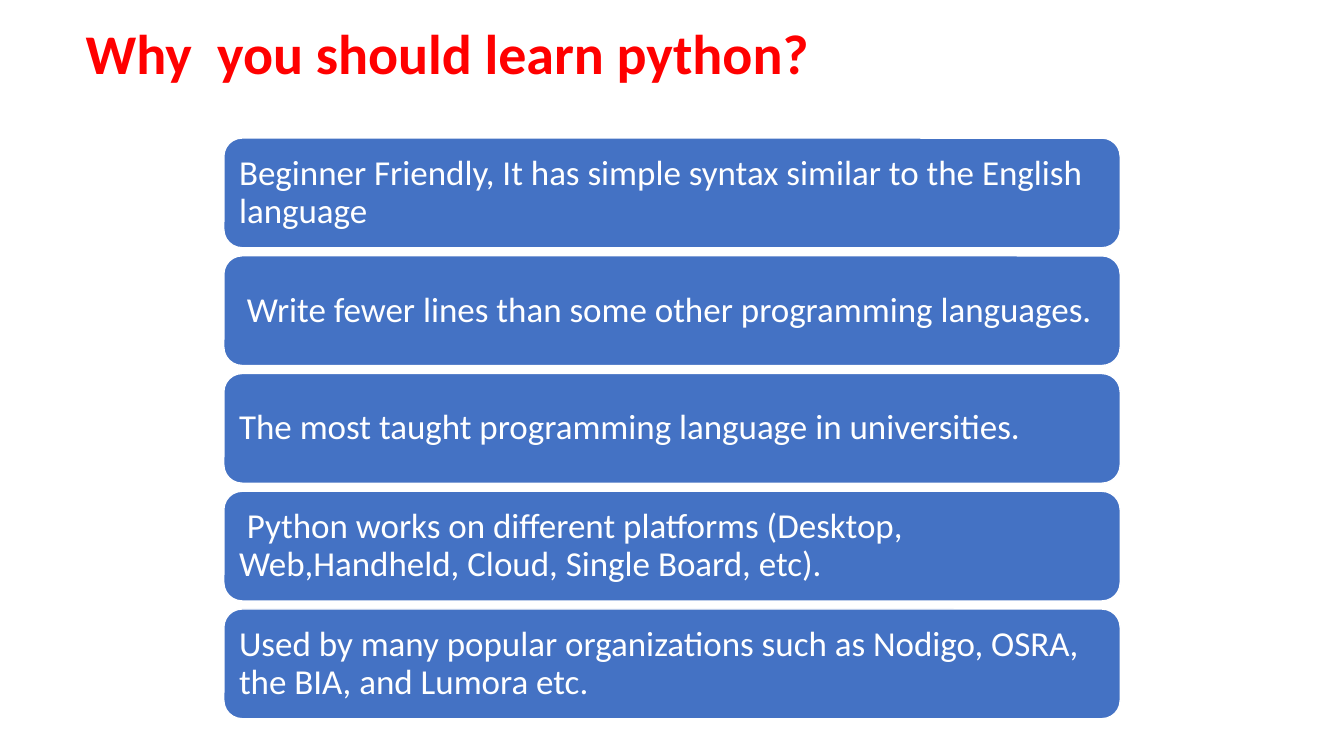
from pptx import Presentation
from pptx.dml.color import RGBColor
from pptx.enum.shapes import MSO_SHAPE
from pptx.enum.text import MSO_ANCHOR, PP_ALIGN
from pptx.util import Inches, Pt

RED = RGBColor(0xFF, 0x00, 0x00)
BLUE = RGBColor(0x44, 0x72, 0xC4)
WHITE = RGBColor(0xFF, 0xFF, 0xFF)
FONT = "Calibri"

REASONS = [
    "Beginner Friendly, It has simple syntax similar to the English language",
    " Write fewer lines than some other programming languages.",
    "The most taught programming language in universities.",
    " Python works on different platforms (Desktop, Web,Handheld, Cloud, Single Board, etc).",
    "Used by many popular organizations such as Nodigo, OSRA, the BIA, and Lumora etc.",
]


def format_paragraph(paragraph, size, color, bold=False):
    """Left-align a paragraph and set its font."""
    paragraph.alignment = PP_ALIGN.LEFT
    paragraph.font.name = FONT
    paragraph.font.size = Pt(size)
    paragraph.font.bold = bold
    paragraph.font.color.rgb = color


def add_title(slide, text, left, top, width, height):
    """Place the red heading in the title placeholder."""
    title = slide.shapes.title
    title.left, title.top = Inches(left), Inches(top)
    title.width, title.height = Inches(width), Inches(height)
    frame = title.text_frame
    frame.text = text
    frame.word_wrap = False
    frame.vertical_anchor = MSO_ANCHOR.TOP
    paragraph = frame.paragraphs[0]
    paragraph.line_spacing = 1.0
    paragraph.space_before = Pt(0)
    format_paragraph(paragraph, 40, RED, bold=True)


def add_reason(slide, text, left, top, width, height):
    """Draw one rounded bar holding a reason."""
    bar = slide.shapes.add_shape(
        MSO_SHAPE.ROUNDED_RECTANGLE,
        Inches(left), Inches(top), Inches(width), Inches(height),
    )
    bar.shadow.inherit = False
    bar.fill.solid()
    bar.fill.fore_color.rgb = BLUE
    bar.line.color.rgb = WHITE
    bar.line.width = Pt(1)
    frame = bar.text_frame
    frame.text = text
    frame.word_wrap = True
    frame.vertical_anchor = MSO_ANCHOR.MIDDLE
    frame.margin_left = frame.margin_right = Inches(0.1)
    frame.margin_top = frame.margin_bottom = Inches(0.1)
    paragraph = frame.paragraphs[0]
    paragraph.line_spacing = 0.9
    format_paragraph(paragraph, 25, WHITE)


def add_reasons(slide, reasons, left, top, width, height, gap=0.08):
    """Stack the reasons as equal bars that fill the box."""
    bar_height = (height - gap * (len(reasons) - 1)) / len(reasons)
    for index, reason in enumerate(reasons):
        bar_top = top + index * (bar_height + gap)
        add_reason(slide, reason, left, bar_top, width, bar_height)


def main():
    """Build the slide and save it."""
    presentation = Presentation()
    presentation.slide_width = Inches(13.33)
    presentation.slide_height = Inches(7.5)
    slide = presentation.slides.add_slide(presentation.slide_layouts[5])
    add_title(slide, "Why  you should learn python?", 0.75, 0.13, 7.46, 0.77)
    add_reasons(slide, REASONS, 2.22, 1.37, 8.89, 5.76)
    presentation.save("out.pptx")


if __name__ == "__main__":
    main()
